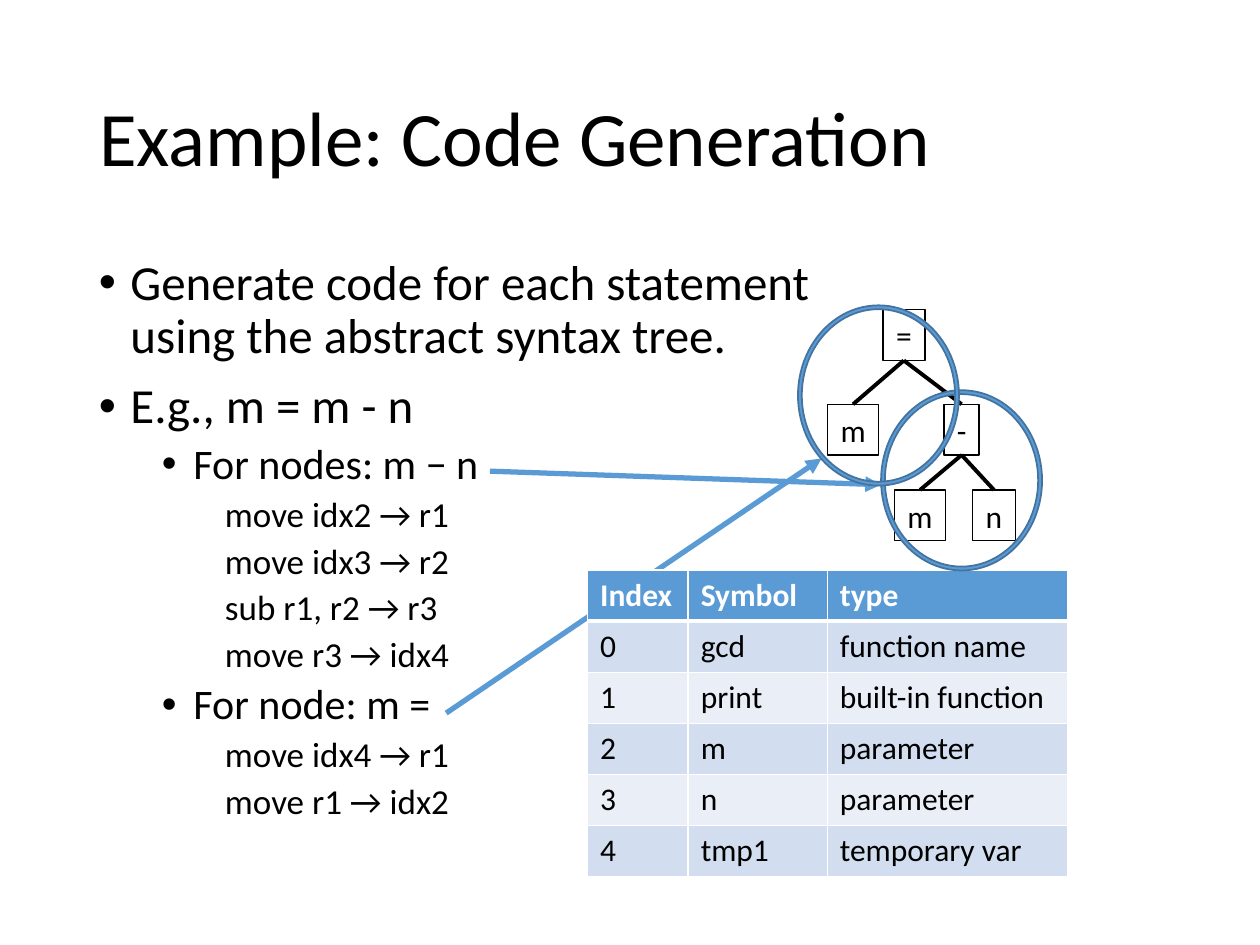
import pptx
import pptx.util
import pptx.dml.color
import pptx.enum.shapes
import pptx.enum.text
import pptx.oxml.ns
from lxml import etree

Pt = pptx.util.Pt
SHAPE = pptx.enum.shapes.MSO_SHAPE
MIDDLE = pptx.enum.text.MSO_ANCHOR.MIDDLE
CENTER = pptx.enum.text.PP_ALIGN.CENTER
STRAIGHT = pptx.enum.shapes.MSO_CONNECTOR.STRAIGHT
COLORS = {"ink": "000000", "paper": "FFFFFF", "accent": "5B9BD5",
          "ring": "43739E", "odd": "D2DEEF", "even": "EAEFF7"}
LEVELS = [
    {"size": 28, "before": 10, "margin": 18, "indent": -18},
    {"size": 24, "before": 5, "margin": 54, "indent": -18},
    {"size": 20, "before": 5, "margin": 72, "indent": 0},
]


def color(name):
    """Return the named colour."""
    return pptx.dml.color.RGBColor.from_string(COLORS[name])


def assign(target, values):
    """Set each attribute of target from a dict."""
    for key, value in values.items():
        setattr(target, key, value)


def add_xml(parent, tag, **attributes):
    """Append a DrawingML element to parent."""
    element = etree.SubElement(parent, pptx.oxml.ns.qn(tag))
    for key, value in attributes.items():
        element.set(key, str(value))
    return element


class SlideBuilder:
    """Holds the text style and the current slide."""

    def __init__(self, slide, font="Calibri"):
        self.slide, self.font = slide, font

    def style(self, paragraph, size, ink="ink", **formats):
        """Format the font of a paragraph's runs."""
        for run in paragraph.runs:
            assign(run.font, {"name": self.font, "size": Pt(size), **formats})
            run.font.color.rgb = color(ink)

    def title(self, text, box):
        """Fill and place the title placeholder."""
        heading = self.slide.shapes.title
        assign(heading, dict(zip(("left", "top", "width", "height"), map(Pt, box))))
        heading.text_frame.text = text
        heading.text_frame.vertical_anchor = MIDDLE
        paragraph = heading.text_frame.paragraphs[0]
        assign(paragraph, {"alignment": pptx.enum.text.PP_ALIGN.LEFT, "line_spacing": 0.9})
        self.style(paragraph, 44)

    def outline(self, items, box):
        """Add a text box of (level, text) items, bulleted where they hang."""
        frame = self.slide.shapes.add_textbox(*map(Pt, box)).text_frame
        frame.word_wrap = True
        for position, (level, text) in enumerate(items):
            paragraph = frame.add_paragraph() if position else frame.paragraphs[0]
            look = LEVELS[level]
            paragraph.text = text
            assign(paragraph, {"level": level, "line_spacing": 0.9,
                               "space_before": Pt(look["before"])})
            self.style(paragraph, look["size"])
            properties = paragraph._p.get_or_add_pPr()
            properties.set("marL", str(Pt(look["margin"])))
            properties.set("indent", str(Pt(look["indent"])))
            if look["indent"]:
                add_xml(properties, "a:buFont", typeface="Arial")
                add_xml(properties, "a:buChar", char="•")

    def node(self, text, center, top, width, height=29):
        """Add a boxed tree node and return it."""
        box = (center - width / 2, top, width, height)
        shape = self.slide.shapes.add_shape(SHAPE.RECTANGLE, *map(Pt, box))
        shape.shadow.inherit = False
        shape.fill.background()
        shape.line.color.rgb = color("ink")
        shape.line.width = Pt(0.75)
        frame = shape.text_frame
        assign(frame, {"text": text, "word_wrap": False, "vertical_anchor": MIDDLE})
        frame.paragraphs[0].alignment = CENTER
        self.style(frame.paragraphs[0], 18)
        return shape

    def ring(self, left, top):
        """Circle one subtree."""
        shape = self.slide.shapes.add_shape(SHAPE.DONUT, *map(Pt, (left, top, 92, 103)))
        shape.shadow.inherit = False
        shape.adjustments[0] = 0.024
        shape.fill.solid()
        shape.fill.fore_color.rgb = color("accent")
        shape.line.color.rgb = color("ring")
        shape.line.width = Pt(1)

    def line(self, ends, ink, width):
        """Add a straight connector and return it."""
        connector = self.slide.shapes.add_connector(STRAIGHT, *map(Pt, ends))
        connector.line.color.rgb = color(ink)
        connector.line.width = Pt(width)
        add_xml(connector._element.spPr, "a:effectLst")
        return connector

    def branch(self, parent, child):
        """Join the bottom of a parent node to the top of its child."""
        connector = self.line((0, 0, 0, 0), "ink", 2.25)
        connector.begin_connect(parent, 2)
        connector.end_connect(child, 0)

    def arrow(self, *ends):
        """Add an arrow from a code step to its subtree."""
        connector = self.line(ends, "accent", 3)
        add_xml(connector.line._get_or_add_ln(), "a:tailEnd", type="triangle")

    def table(self, rows, left, top, widths, row_height):
        """Add a table with a header row and banded body rows."""
        grid = self.slide.shapes.add_table(
            len(rows), len(widths), Pt(left), Pt(top),
            Pt(sum(widths)), Pt(row_height * len(rows))).table
        for column, width in zip(grid.columns, widths):
            column.width = Pt(width)
        for r, row in enumerate(rows):
            grid.rows[r].height = Pt(row_height)
            band = "accent" if r == 0 else ("even", "odd")[r % 2]
            for c, text in enumerate(row):
                cell = grid.cell(r, c)
                assign(cell, {"text": text, "vertical_anchor": MIDDLE})
                self.style(cell.text_frame.paragraphs[0], 18,
                           "ink" if r else "paper", bold=r == 0)
                self.borders(cell, {"L": 1, "R": 1, "T": 3 if r == 1 else 1,
                                    "B": 1 if r else 3})
                cell.fill.solid()
                cell.fill.fore_color.rgb = color(band)

    def borders(self, cell, widths):
        """Draw the cell's borders in the paper colour."""
        properties = cell._tc.get_or_add_tcPr()
        for side, width in widths.items():
            border = add_xml(properties, "a:ln" + side, w=Pt(width))
            add_xml(add_xml(border, "a:solidFill"), "a:srgbClr", val=COLORS["paper"])


def main():
    """Build the code generation slide."""
    deck = pptx.Presentation()
    assign(deck, {"slide_width": Pt(720), "slide_height": Pt(540)})
    page = SlideBuilder(deck.slides.add_slide(deck.slide_layouts[5]))

    page.title("Example: Code Generation", (49.5, 28.75, 621, 104.4))
    page.arrow(255, 407.5, 469.5, 262)
    page.outline([
        (0, "Generate code for each statement using the abstract syntax tree."),
        (0, "E.g., m = m - n"),
        (1, "For nodes: m − n"),
        (2, "move idx2 → r1"),
        (2, "move idx3 → r2"),
        (2, "sub r1, r2 → r3"),
        (2, "move r3 → idx4"),
        (1, "For node: m ="),
        (2, "move idx4 → r1"),
        (2, "move r1 → idx2"),
    ], (49.5, 144, 426, 342.5))

    assignment = page.node("=", 516.5, 177, 24)
    target = page.node("m", 487.5, 231, 29)
    minus = page.node("-", 549.5, 231, 20)
    minuend = page.node("m", 525.75, 280, 29)
    subtrahend = page.node("n", 568, 280, 24.5)
    for parent, child in ((assignment, target), (assignment, minus),
                          (minus, minuend), (minus, subtrahend)):
        page.branch(parent, child)

    page.table([
        ("Index", "Symbol", "type"),
        ("0", "gcd", "function name"),
        ("1", "print", "built-in function"),
        ("2", "m", "parameter"),
        ("3", "n", "parameter"),
        ("4", "tmp1", "temporary var"),
    ], 335.75, 325.75, (57.5, 79.5, 137.25), 29.2)
    page.ring(503.5, 223)
    page.arrow(280, 269.25, 503.5, 277)
    page.ring(456, 174.5)
    deck.save("out.pptx")


main()
